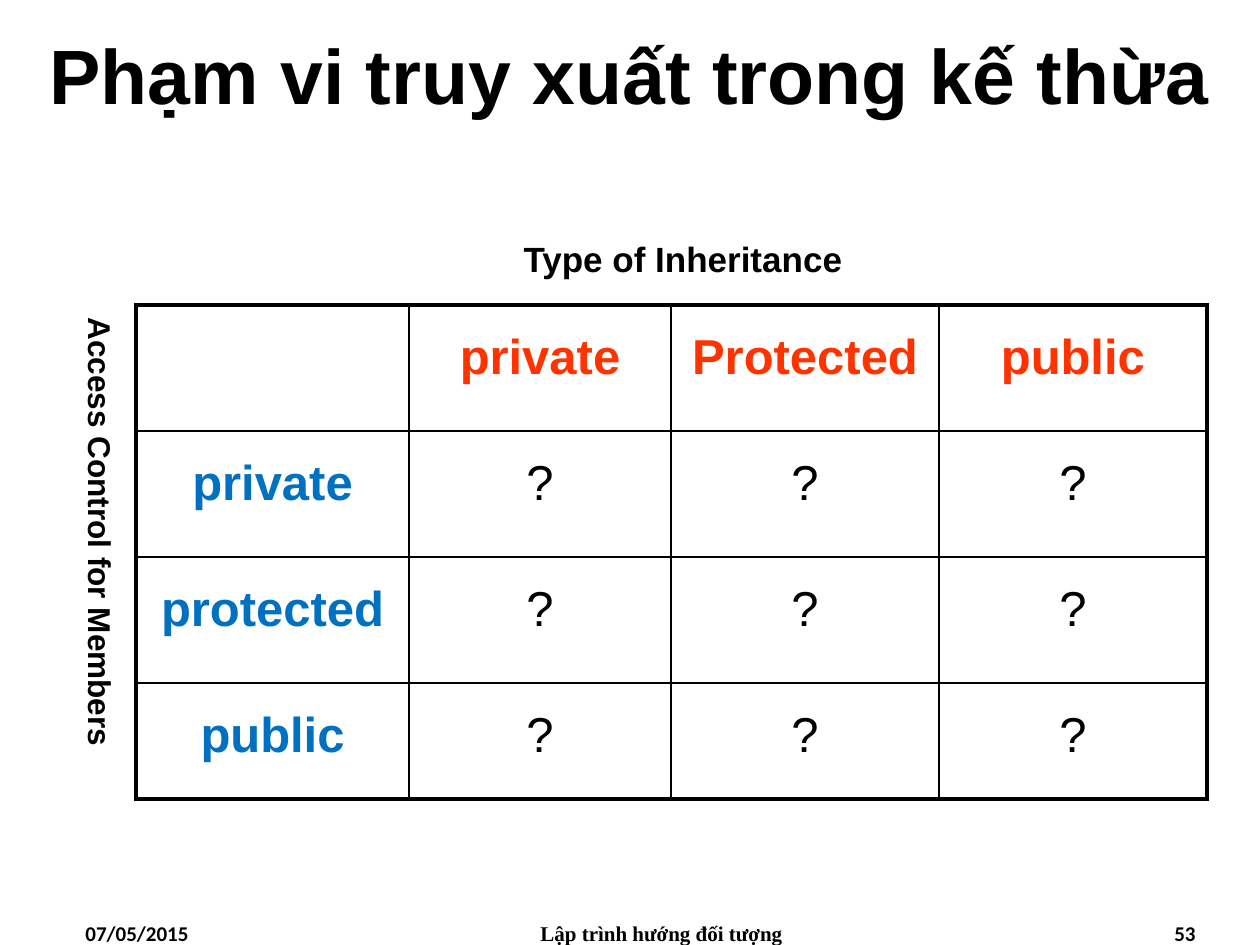
from dataclasses import dataclass

from lxml.etree import SubElement
from pptx import Presentation
from pptx.dml.color import RGBColor
from pptx.enum.text import MSO_ANCHOR as Anchor, MSO_AUTO_SIZE as AutoSize, PP_ALIGN as Align
from pptx.oxml.ns import qn
from pptx.util import Emu, Pt


@dataclass(frozen=True)
class Theme:
    """Colours, fonts and type sizes of the slide."""
    ink: str = "000000"
    inheritance: str = "FF3300"
    member: str = "0070C0"
    sans: str = "Arial"
    footer: str = "Calibri"
    serif: str = "Times New Roman"
    title_size: int = 44
    cell_size: int = 28
    column_axis_size: int = 20
    row_axis_size: int = 18
    footer_size: int = 12
    outer_line: float = 2.25
    inner_line: float = 1


THEME = Theme()


@dataclass(frozen=True)
class Style:
    """Look of one run of text."""
    size: int
    font: str = THEME.sans
    color: str = THEME.ink
    bold: bool = True


@dataclass(frozen=True)
class Label:
    """Text placed in a box measured in px."""
    text: str
    box: tuple[int, int, int, int]
    style: Style
    align: Align = Align.CENTER
    anchor: Anchor = Anchor.TOP
    grows: bool = False
    vertical: bool = False


LABELS = [
    Label("Phạm vi truy xuất trong kế thừa", (0, 0, 1260, 147),
          Style(THEME.title_size), anchor=Anchor.MIDDLE),
    Label("07/05/2015", (73, 914, 294, 31),
          Style(THEME.footer_size, THEME.footer), Align.LEFT),
    Label("Lập trình hướng đối tượng", (462, 914, 399, 31),
          Style(THEME.footer_size, THEME.serif)),
    Label("53", (914, 914, 294, 31),
          Style(THEME.footer_size, THEME.footer), Align.RIGHT),
    Label("Type of Inheritance", (473, 231, 420, 55),
          Style(THEME.column_axis_size), grows=True),
    Label("Access Control for Members", (63, 305, 63, 504),
          Style(THEME.row_axis_size), grows=True, vertical=True),
]
INHERITANCE_TYPES = ["private", "Protected", "public"]
MEMBER_ACCESS = ["private", "protected", "public"]
COLUMN_WIDTHS = [273, 262, 268, 268]
ROW_HEIGHTS = [126, 126, 126, 116]


def px(length: int) -> Emu:
    """Turn px into EMU."""
    return Emu(round(length * 914400 / 126))


def write(frame, text: str, style: Style, align: Align) -> None:
    """Write one run into the first paragraph of a text frame."""
    paragraph = frame.paragraphs[0]
    paragraph.alignment = align
    run = paragraph.add_run()
    run.text = text
    run.font.name = style.font
    run.font.size = Pt(style.size)
    run.font.bold = style.bold
    run.font.color.rgb = RGBColor.from_string(style.color)


def draw_label(slide, label: Label) -> None:
    """Add one label as a text box."""
    frame = slide.shapes.add_textbox(*map(px, label.box)).text_frame
    frame.word_wrap = True
    frame.vertical_anchor = label.anchor
    frame.auto_size = AutoSize.SHAPE_TO_FIT_TEXT if label.grows else AutoSize.NONE
    if label.vertical:
        frame._txBody.bodyPr.set("vert", "eaVert")
    write(frame, label.text, label.style, label.align)


def draw_borders(cell, outer_sides: dict[str, bool]) -> None:
    """Rule the four sides of a cell, heavier on the table's edge."""
    properties = cell._tc.get_or_add_tcPr()
    for position, (side, is_outer) in enumerate(outer_sides.items()):
        width = THEME.outer_line if is_outer else THEME.inner_line
        border = SubElement(properties, qn(f"a:ln{side}"), w=str(Pt(width)))
        paint = SubElement(border, qn("a:solidFill"))
        SubElement(paint, qn("a:srgbClr"), val=THEME.ink)
        properties.insert(position, border)


def cell_content(row: int, column: int) -> tuple[str, Style]:
    """Give the wording and look of a cell of the access table."""
    if row == 0:
        return INHERITANCE_TYPES[column - 1], Style(THEME.cell_size, color=THEME.inheritance)
    if column == 0:
        return MEMBER_ACCESS[row - 1], Style(THEME.cell_size, color=THEME.member)
    return "?", Style(THEME.cell_size, bold=False)


def draw_access_table(slide) -> None:
    """Add the table of member access against inheritance type."""
    last_row, last_column = len(ROW_HEIGHTS) - 1, len(COLUMN_WIDTHS) - 1
    access = slide.shapes.add_table(
        last_row + 1, last_column + 1, px(136), px(305),
        px(sum(COLUMN_WIDTHS)), px(sum(ROW_HEIGHTS))).table
    access.first_row = access.horz_banding = False
    for column, width in zip(access.columns, COLUMN_WIDTHS):
        column.width = px(width)
    for r, height in enumerate(ROW_HEIGHTS):
        access.rows[r].height = px(height)
        for c in range(last_column + 1):
            cell = access.cell(r, c)
            cell.fill.background()
            draw_borders(cell, {"L": c == 0, "R": c == last_column,
                                "T": r == 0, "B": r == last_row})
            if r or c:
                cell.margin_left = cell.margin_right = px(13)
                cell.margin_top, cell.margin_bottom = px(25), px(6)
                write(cell.text_frame, *cell_content(r, c), Align.CENTER)


def main() -> None:
    """Build and save the slide."""
    deck = Presentation()
    deck.slide_width, deck.slide_height = px(1260), px(945)
    slide = deck.slides.add_slide(deck.slide_layouts[6])
    draw_access_table(slide)
    for label in LABELS:
        draw_label(slide, label)
    deck.save("out.pptx")


if __name__ == "__main__":
    main()
